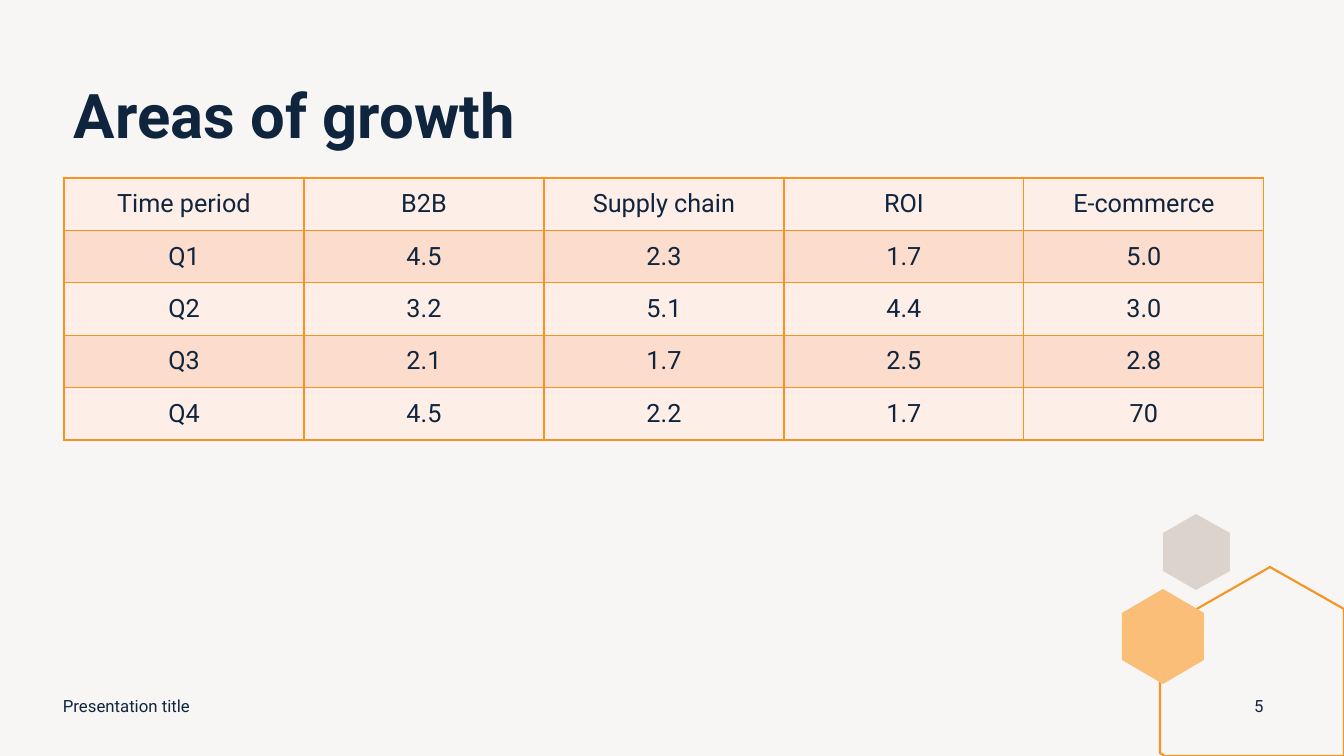
from lxml import etree
from pptx import Presentation
from pptx.dml.color import RGBColor
from pptx.enum.text import MSO_ANCHOR, PP_ALIGN
from pptx.oxml.ns import qn
from pptx.util import Pt

TOP, MIDDLE = MSO_ANCHOR.TOP, MSO_ANCHOR.MIDDLE
LEFT, CENTER = PP_ALIGN.LEFT, PP_ALIGN.CENTER

SCALE = 914400 / 100.8
FONT = "Roboto"
PAPER, INK, ORANGE = "F8F6F5", "0F253E", "F79320"
APRICOT, STONE = "FABE79", "DCD3CC"
BANDS = ("FDEEE8", "FCDCCD")

GROWTH = [
    ("Time period", "B2B", "Supply chain", "ROI", "E-commerce"),
    ("Q1", "4.5", "2.3", "1.7", "5.0"),
    ("Q2", "3.2", "5.1", "4.4", "3.0"),
    ("Q3", "2.1", "1.7", "2.5", "2.8"),
    ("Q4", "4.5", "2.2", "1.7", "70"),
]


def px(count):
    return round(count * SCALE)


def paint(fill, color):
    fill.solid()
    fill.fore_color.rgb = RGBColor.from_string(color)


class Deck:
    """Holds the shared style and the slide being drawn."""

    def __init__(self, width, height):
        self.show = Presentation()
        self.show.slide_width, self.show.slide_height = px(width), px(height)
        self.slide = self.show.slides.add_slide(self.show.slide_layouts[6])
        paint(self.slide.background.fill, PAPER)

    def words(self, frame, text, size, bold=False, align=LEFT, lead=None):
        para = frame.paragraphs[0]
        para.alignment = align
        para.line_spacing = lead
        run = para.add_run()
        run.text = text
        run.font.name, run.font.size, run.font.bold = FONT, Pt(size), bold
        paint(run.font.fill, INK)

    def label(self, box, text, size, anchor=MIDDLE, **style):
        frame = self.slide.shapes.add_textbox(*map(px, box)).text_frame
        frame.word_wrap = True
        frame.vertical_anchor = anchor
        self.words(frame, text, size, **style)

    def outline(self, points, fill=None, line=None):
        start, *rest = points
        pen = self.slide.shapes.build_freeform(*start, scale=SCALE)
        pen.add_line_segments(rest, close=True)
        shape = pen.convert_to_shape()
        shape.shadow.inherit = False
        if fill:
            paint(shape.fill, fill)
        else:
            shape.fill.background()
        if line:
            paint(shape.line.fill, line)
            shape.line.width = Pt(1.5)
        else:
            shape.line.fill.background()

    def hexagon(self, left, top, width, height, fill):
        mid, right = left + width / 2, left + width
        high, low = top + height / 4, top + height * 3 / 4
        self.outline([(mid, top), (right, high), (right, low),
                      (mid, top + height), (left, low), (left, high)], fill)

    def border(self, cell, color):
        props = cell._tc.get_or_add_tcPr()
        for side in ("a:lnL", "a:lnR", "a:lnT", "a:lnB"):
            line = etree.SubElement(props, qn(side), w=str(Pt(1)))
            solid = etree.SubElement(line, qn("a:solidFill"))
            etree.SubElement(solid, qn("a:srgbClr"), val=color)

    def table(self, box, rows, size):
        grid = self.slide.shapes.add_table(
            len(rows), len(rows[0]), *map(px, box)).table
        grid.first_row = grid.horz_banding = False
        for r, row in enumerate(rows):
            for c, text in enumerate(row):
                cell = grid.cell(r, c)
                self.border(cell, ORANGE)
                paint(cell.fill, BANDS[r % 2])
                cell.vertical_anchor = MIDDLE
                self.words(cell.text_frame, text, size, align=CENTER)


def main():
    deck = Deck(1344, 756)
    deck.hexagon(1163, 514, 67, 76, STONE)
    deck.outline([(1270, 567), (1344, 609), (1344, 756), (1165, 756),
                  (1160, 753), (1160, 630)], line=ORANGE)
    deck.hexagon(1122, 589, 82, 95, APRICOT)
    deck.label((64, 80, 1200, 156), "Areas of growth", 44,
               anchor=TOP, bold=True, lead=0.9)
    deck.table((64, 178, 1200, 262), GROWTH, 18)
    deck.label((53, 686, 454, 40), "Presentation title", 12)
    deck.label((1234, 686, 50, 40), "5", 12, align=CENTER)
    deck.show.save("out.pptx")


if __name__ == "__main__":
    main()
